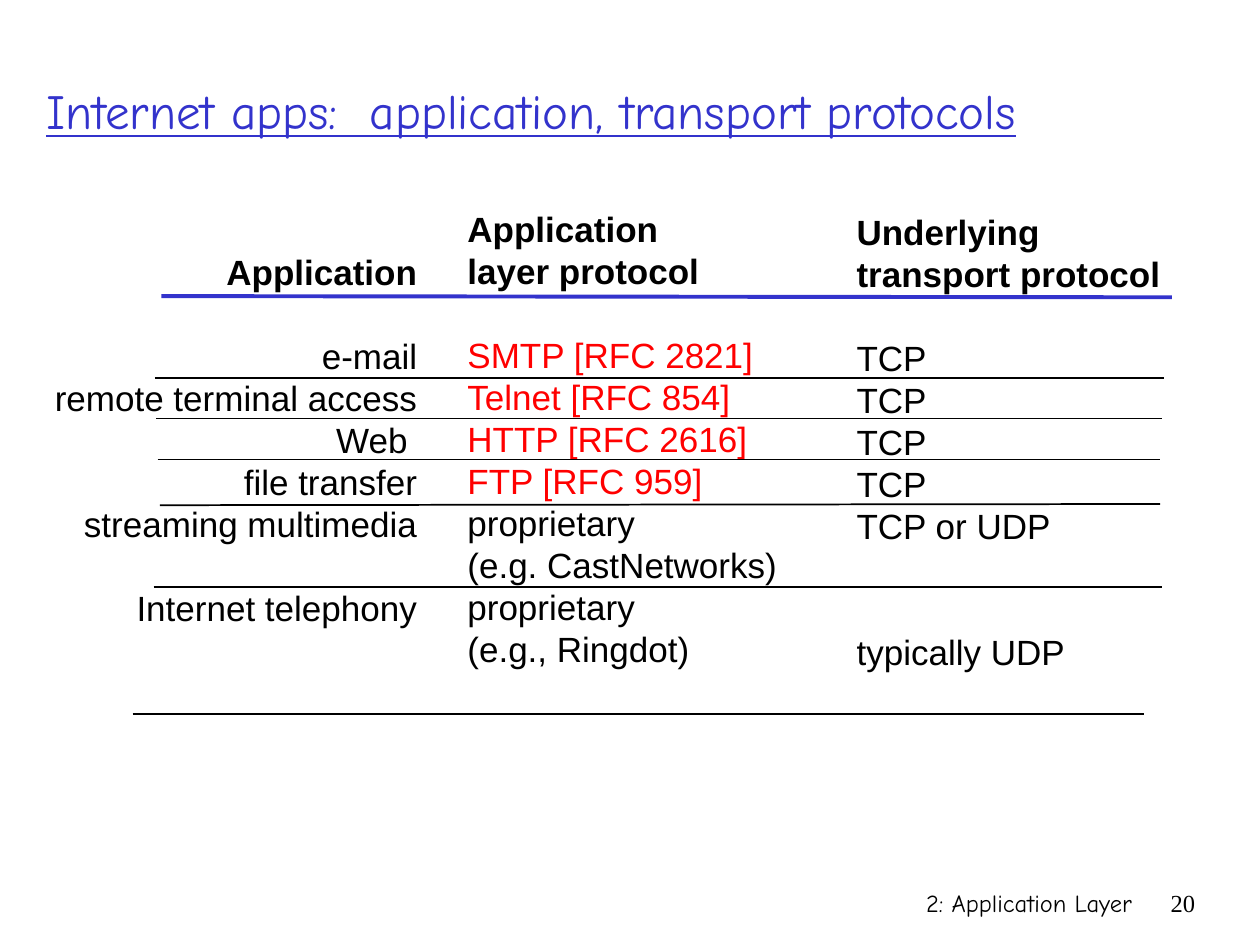
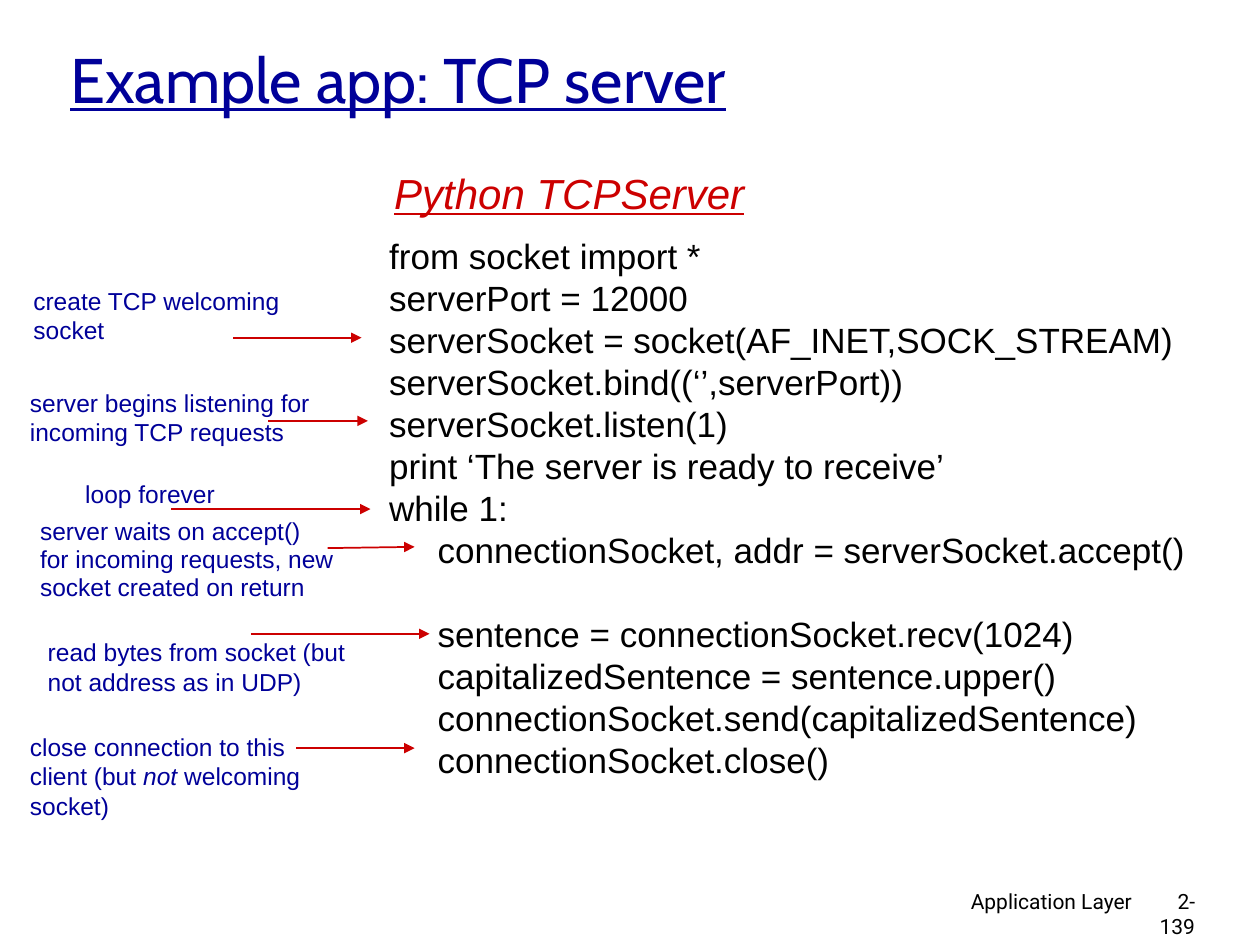
import dataclasses
import typing

import lxml.etree
import pptx
import pptx.dml.color
import pptx.enum.shapes
import pptx.enum.text
import pptx.oxml.ns
import pptx.slide
import pptx.util

Pt = pptx.util.Pt
RGBColor = pptx.dml.color.RGBColor
ALIGN = pptx.enum.text.PP_ALIGN
ANCHOR = pptx.enum.text.MSO_ANCHOR
qn = pptx.oxml.ns.qn

# Colours
BLACK = RGBColor(0x00, 0x00, 0x00)
BLUE = RGBColor(0x33, 0x33, 0xCC)
NAVY = RGBColor(0x00, 0x00, 0x99)
RED = RGBColor(0xFF, 0x00, 0x00)
CRIMSON = RGBColor(0xCC, 0x00, 0x00)

# Fonts
SANS = "Arial"
COMIC = "Comic Neue"
CABIN = "Cabin"
ROBOTO = "Roboto"
TIMES = "Times New Roman"


class Box(typing.NamedTuple):
    left: float
    top: float
    width: float
    height: float


class Rule(typing.NamedTuple):
    x1: float
    y1: float
    x2: float
    y2: float


@dataclasses.dataclass(frozen=True)
class Para:
    """A paragraph; when text is a tuple, every second part is italic."""
    text: str | tuple[str, ...]
    gap: float = 0
    bold: bool = False
    tone: RGBColor | None = None


@dataclasses.dataclass(frozen=True)
class Note:
    """A remark on the code with the arrow that leads to its line."""
    box: Box
    lines: tuple[str | tuple[str, ...], ...]
    arrow: Rule
    lead: float = 16.8


def write(slide: pptx.slide.Slide, box: Box, paras: typing.Sequence[Para], *,
          size: float, font: str = SANS, tone: RGBColor = BLACK,
          align: ALIGN = ALIGN.LEFT, anchor: ANCHOR = ANCHOR.TOP,
          lead: float | None = None, line: bool = False,
          slant: bool = False) -> None:
    """Add a wrapped text box with one format for all paragraphs."""
    frame = slide.shapes.add_textbox(*map(Pt, box)).text_frame
    frame.word_wrap = True
    frame.vertical_anchor = anchor
    for index, para in enumerate(paras):
        item = frame.add_paragraph() if index else frame.paragraphs[0]
        item.alignment = align
        if para.gap:
            item.space_before = Pt(para.gap)
        if lead:
            item.line_spacing = Pt(lead)
        parts = (para.text,) if isinstance(para.text, str) else para.text
        for turn, part in enumerate(parts):
            run = item.add_run()
            run.text = part
            face = run.font
            face.name, face.size = font, Pt(size)
            face.bold, face.underline = para.bold, line
            face.italic = slant or turn % 2 == 1
            face.color.rgb = para.tone or tone


def draw(slide: pptx.slide.Slide, rule: Rule, tone: RGBColor = BLACK,
         width: float = 1, arrow: bool = False) -> None:
    """Add a straight line, with an arrowhead at its end if asked."""
    link = slide.shapes.add_connector(
        pptx.enum.shapes.MSO_CONNECTOR.STRAIGHT, *map(Pt, rule))
    link.line.color.rgb = tone
    link.line.width = Pt(width)
    if arrow:
        lxml.etree.SubElement(link.line._get_or_add_ln(), qn("a:tailEnd"),
                              type="triangle")
    lxml.etree.SubElement(link._element.spPr, qn("a:effectLst"))


def title(slide: pptx.slide.Slide, box: Box, text: str, size: float,
          font: str, tone: RGBColor) -> None:
    write(slide, box, [Para(text)], size=size, font=font, tone=tone,
          anchor=ANCHOR.MIDDLE, line=True)


def footer(slide: pptx.slide.Slide, label: str, number: str, size: float,
           font: str, digits: str) -> None:
    parts = ((Box(426, 504, 228, 36), label, font),
             (Box(654, 504, 36, 36), number, digits))
    for box, text, face in parts:
        write(slide, box, [Para(text)], size=size, font=face,
              align=ALIGN.RIGHT)


# Columns of the protocol slide
ROW = 24
APPS = (
    Para("Application", bold=True),
    Para("e-mail", gap=ROW),
    Para("remote terminal access"),
    Para("Web "),
    Para("file transfer"),
    Para("streaming multimedia"),
    Para("Internet telephony", gap=ROW),
)
LAYER = (
    Para("Application", bold=True),
    Para("layer protocol", bold=True),
    Para("SMTP [RFC 2821]", gap=ROW, tone=RED),
    Para("Telnet [RFC 854]", tone=RED),
    Para("HTTP [RFC 2616]", tone=RED),
    Para("FTP [RFC 959]", tone=RED),
    Para("proprietary"),
    Para("(e.g. CastNetworks)"),
    Para("proprietary"),
    Para("(e.g., Ringdot)"),
)
CARRY = (
    Para("Underlying", bold=True),
    Para("transport protocol", bold=True),
    Para("TCP", gap=ROW),
    *[Para("TCP")] * 3,
    Para("TCP or UDP"),
    Para("typically UDP", gap=2 * ROW),
)
COLUMNS = (
    (Box(17, 139.5, 228.5, 248), APPS, ALIGN.RIGHT),
    (Box(260, 115.2, 215, 271.5), LAYER, ALIGN.LEFT),
    (Box(482.4, 116.7, 206.6, 271.5), CARRY, ALIGN.LEFT),
)
HEAD = Rule(92.2, 169.2, 669.6, 169.9)
RULES = (
    Rule(88.5, 216, 665.3, 216),
    Rule(89.3, 239.2, 663.8, 239.2),
    Rule(90, 262.6, 663, 262.6),
    Rule(91.4, 288.7, 663, 288),
    Rule(87.8, 335.3, 663.8, 335.3),
    Rule(75.8, 408, 653.8, 408),
)

# Code and notes of the server slide
CODE = (
    Para("from socket import *"),
    Para("serverPort = 12000"),
    Para("serverSocket = socket(AF_INET,SOCK_STREAM)"),
    Para("serverSocket.bind((‘’,serverPort))"),
    Para("serverSocket.listen(1)"),
    Para("print ‘The server is ready to receive’"),
    Para("while 1:"),
    Para("     connectionSocket, addr = serverSocket.accept()"),
    Para("     sentence = connectionSocket.recv(1024)", gap=ROW),
    Para("     capitalizedSentence = sentence.upper()"),
    Para("     connectionSocket.send(capitalizedSentence)"),
    Para("     connectionSocket.close()"),
)
NOTES = (
    Note(Box(12, 159.8, 201.6, 41), ("create TCP welcoming", "socket"),
         Rule(133.2, 193, 206.6, 193)),
    Note(Box(10, 218.2, 178.6, 41),
         ("server begins listening for incoming TCP requests",),
         Rule(153.4, 240.5, 210.2, 240.5)),
    Note(Box(41.6, 270.7, 96, 23), ("loop forever",),
         Rule(97.9, 290.9, 211.7, 290.9), lead=16),
    Note(Box(15.8, 292.3, 202.3, 55.4),
         ("server waits on accept()",
          "for incoming requests, new socket created on return"),
         Rule(187.2, 313.2, 236.9, 312.5), lead=16),
    Note(Box(20.2, 360.7, 185, 41),
         ("read bytes from socket (but not address as in UDP)",),
         Rule(143.3, 362.2, 245.5, 362.2)),
    Note(Box(10, 414.7, 185, 57.6),
         (("close connection to this client (but ", "not",
           " welcoming socket)"),),
         Rule(169.2, 427.5, 236.9, 427.5)),
)


def apps(slide: pptx.slide.Slide) -> None:
    """Internet apps and the protocols below them."""
    footer(slide, "2: Application Layer", "20", 14, COMIC, TIMES)
    title(slide, Box(19.5, 18, 689, 90),
          "Internet apps:  application, transport protocols", 28, COMIC, BLUE)
    for box, paras, align in COLUMNS:
        write(slide, box, paras, size=20, align=align, lead=ROW)
    draw(slide, HEAD, BLUE, 2.25)
    for rule in RULES:
        draw(slide, rule)


def server(slide: pptx.slide.Slide) -> None:
    """Server code with a note beside each main step."""
    footer(slide, "Application Layer", "2-139", 12, ROBOTO, ROBOTO)
    title(slide, Box(33.1, 7.2, 612, 75), "Example app: TCP server", 36,
          CABIN, NAVY)
    write(slide, Box(215.3, 130.3, 495, 319.7), CODE, size=20, lead=ROW)
    write(slide, Box(218.2, 92.2, 225, 36), [Para("Python TCPServer")],
          size=24, tone=CRIMSON, lead=28.8, line=True, slant=True)
    for note in NOTES:
        write(slide, note.box, [Para(text) for text in note.lines], size=14,
              tone=NAVY, lead=note.lead)
        draw(slide, note.arrow, CRIMSON, arrow=True)


def main() -> None:
    deck = pptx.Presentation()
    deck.slide_width, deck.slide_height = Pt(720), Pt(540)
    blank = deck.slide_layouts[6]
    for build in (apps, server):
        build(deck.slides.add_slide(blank))
    deck.save("out.pptx")


if __name__ == "__main__":
    main()
